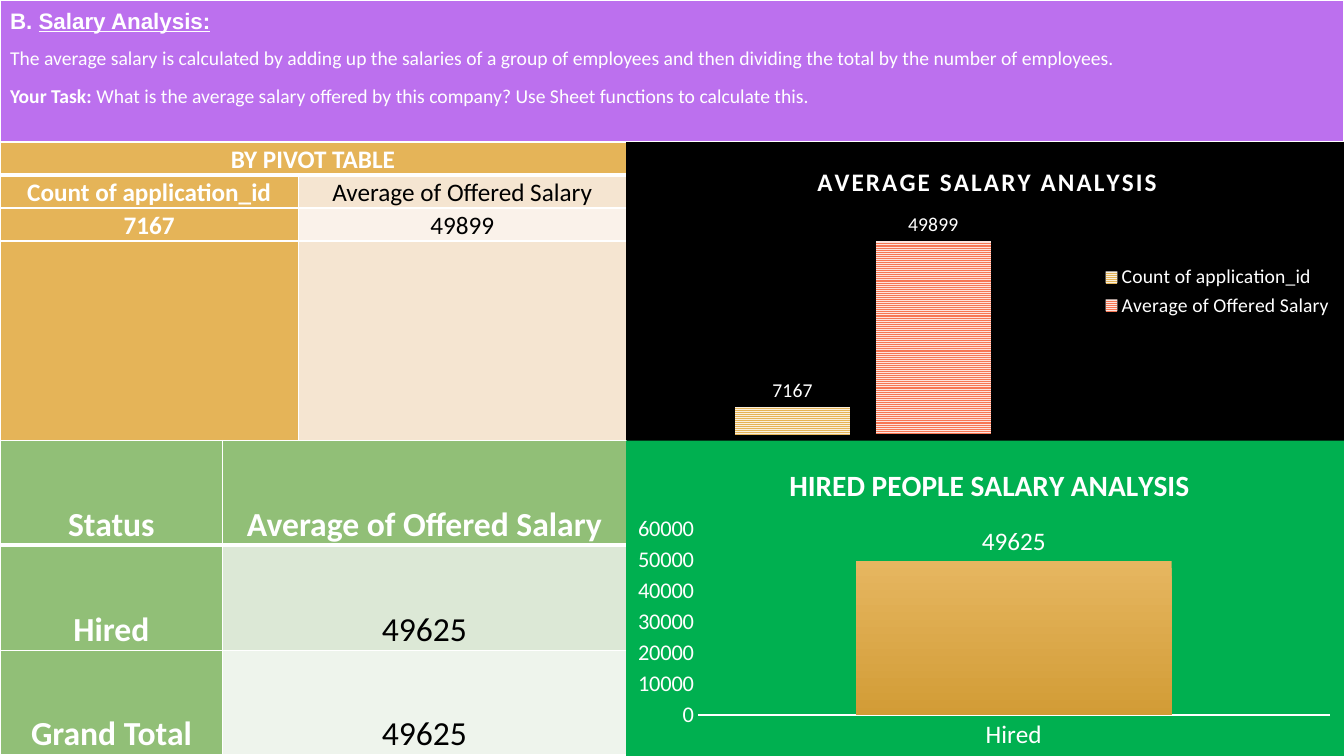
from dataclasses import dataclass
from lxml import etree
from pptx import Presentation
from pptx.chart.data import CategoryChartData as Data
from pptx.dml.color import RGBColor
from pptx.enum.chart import XL_CHART_TYPE as Kind, XL_LABEL_POSITION as Spot
from pptx.enum.chart import XL_LEGEND_POSITION as Side, XL_TICK_MARK as Tick
from pptx.enum.dml import MSO_PATTERN as Pattern
from pptx.enum.shapes import MSO_SHAPE as Shape
from pptx.enum.text import MSO_ANCHOR as Anchor, PP_ALIGN as Align
from pptx.oxml import parse_xml
from pptx.oxml.ns import qn
from pptx.util import Inches, Pt

NS = ('xmlns:a="http://schemas.openxmlformats.org/drawingml/2006/main" '
      'xmlns:c="http://schemas.openxmlformats.org/drawingml/2006/chart"')
rgb = RGBColor.from_string


@dataclass(frozen=True)
class Theme:
    head: str = "Arial"
    text: str = "Calibri"
    white: str = "FFFFFF"
    black: str = "000000"
    violet: str = "BC70EE"
    gold: str = "E5B458"
    sand: str = "F5E5D1"
    cream: str = "FAF2EA"
    leaf: str = "91BF77"
    mint: str = "DCE8D6"
    pale: str = "EEF4EC"
    green: str = "00B050"
    stripes: tuple = (("E5B458", "FAF0DE"), ("F77754", "FDE4DD"))
    fade: tuple = ("E6B660", "D29C36")
    small: int = 14
    note: int = 16
    body: int = 18
    name: int = 21
    large: int = 24


T = Theme()


def paint(font, size, bold=False, color=T.white, face=T.text):
    font.size, font.bold, font.name = Pt(size), bold, face
    font.color.rgb = rgb(color)


def place(node, spot, box, inner=False):
    for old in node.findall(qn("c:layout")):
        node.remove(old)
    target = '<c:layoutTarget val="inner"/>' if inner else ""
    modes = '<c:xMode val="edge"/><c:yMode val="edge"/>'
    sizes = "".join(f'<c:{key} val="{val}"/>' for key, val in zip("xywh", box))
    node.insert(spot, parse_xml(
        f"<c:layout {NS}><c:manualLayout>{target}{modes}{sizes}"
        "</c:manualLayout></c:layout>"))


deck = Presentation()
deck.slide_width, deck.slide_height = Inches(13.33), Inches(7.5)
slide = deck.slides.add_slide(deck.slide_layouts[1])
slide.background.fill.solid()
slide.background.fill.fore_color.rgb = rgb(T.black)
title, body = slide.placeholders

banner = slide.shapes.add_shape(Shape.RECTANGLE, 0, 0, Inches(13.33), Inches(1.41))
banner.shadow.inherit = False
banner.fill.solid()
banner.fill.fore_color.rgb = rgb(T.violet)
banner.line.color.rgb = rgb(T.white)
banner.line.width = Pt(2)
title.element.addprevious(banner.element)

for box, top, tall in ((title, 0.05, 0.3), (body, 0.46, 0.9)):
    box.left, box.top = Inches(0), Inches(top)
    box.width, box.height = Inches(13.33), Inches(tall)
    frame = box.text_frame
    frame.word_wrap = True
    frame.margin_top = frame.margin_bottom = 0
title.text_frame.vertical_anchor = Anchor.MIDDLE
body.text_frame.vertical_anchor = Anchor.TOP

line = title.text_frame.paragraphs[0]
line.alignment = Align.LEFT
for text, under in (("B. ", False), ("Salary Analysis:", True)):
    run = line.add_run()
    run.text = text
    paint(run.font, T.note, True, face=T.head)
    run.font.underline = under

notes = (
    (("The average salary is calculated by adding up the salaries of a group of "
      "employees and then dividing the total by the number of employees.", False),),
    (("Your Task:", True),
     (" What is the average salary offered by this company? "
      "Use Sheet functions to calculate this.", False)),
)
for i, parts in enumerate(notes):
    line = body.text_frame.paragraphs[0] if i == 0 else body.text_frame.add_paragraph()
    props = line._p.get_or_add_pPr()
    props.set("marL", "0")
    props.set("indent", "0")
    etree.SubElement(props, qn("a:buNone"))
    line.space_before = Pt(10 * i)
    for text, bold in parts:
        run = line.add_run()
        run.text = text
        paint(run.font, T.small, bold)

tables = (
    (1.41, (2.96, 3.25), (0.32, 0.32, 0.32, 2), T.body, T.gold,
     (T.gold, T.sand, T.cream, T.sand),
     (("BY PIVOT TABLE", ""), ("Count of application_id", "Average of Offered Salary"),
      ("7167", "49899"), ("", ""))),
    (4.37, (2.21, 4), (1.04, 1.04, 1.04), T.large, T.leaf,
     (T.leaf, T.mint, T.pale),
     (("Status", "Average of Offered Salary"), ("Hired", "49625"),
      ("Grand Total", "49625"))),
)
for top, cols, rows, size, main, tints, words in tables:
    table = slide.shapes.add_table(
        len(rows), 2, 0, Inches(top), Inches(sum(cols)), Inches(sum(rows))).table
    for col, wide in zip(table.columns, cols):
        col.width = Inches(wide)
    for row, tall in zip(table.rows, rows):
        row.height = Inches(tall)
    if not words[0][1]:
        table.cell(0, 0).merge(table.cell(0, 1))
    for r, pair in enumerate(words):
        for c, text in enumerate(pair):
            cell = table.cell(r, c)
            cell.fill.solid()
            cell.fill.fore_color.rgb = rgb(tints[r] if c else main)
            cell.vertical_anchor = Anchor.BOTTOM
            cell.margin_left = cell.margin_right = Inches(0.07)
            cell.margin_top = cell.margin_bottom = 0
            props = cell._tc.get_or_add_tcPr()
            for i, edge in enumerate("LRTB"):
                thick = (edge == "B" and r == 0) or (edge == "T" and r == 1)
                props.insert(i, parse_xml(
                    f'<a:ln{edge} {NS} w="{Pt(3 if thick else 1)}"><a:solidFill>'
                    f'<a:srgbClr val="{T.white}"/></a:solidFill></a:ln{edge}>'))
            if text:
                cell.text_frame.text = text
                line = cell.text_frame.paragraphs[0]
                line.alignment = Align.CENTER
                line.line_spacing, line.space_after = 1.07, Pt(8)
                bold = c == 0 or r == 0
                paint(line.runs[0].font, size, bold, T.white if bold else T.black)

charts = (
    (1.41, 2.96, T.black, "AVERAGE SALARY ANALYSIS", T.body, "150", (0.26, 0.06),
     (0.02, 0.2, 0.62, 0.78), "1", T.small, 164, -22,
     (("Count of application_id", 7167), ("Average of Offered Salary", 49899))),
    (4.37, 3.13, T.green, "HIRED PEOPLE SALARY ANALYSIS", T.name, "0", (0.22, 0.06),
     (0.1, 0.28, 0.88, 0.59), "Hired", T.body, 100, -24,
     (("Series 1", 49625),)),
)
for (top, tall, back, head, size, space, spot, area, group, tag, gap, lap,
     sets) in charts:
    data = Data(number_format="0")
    data.categories = [group]
    for name, val in sets:
        data.add_series(name, [val])
    chart = slide.shapes.add_chart(
        Kind.COLUMN_CLUSTERED, Inches(6.21), Inches(top), Inches(7.12),
        Inches(tall), data).chart
    paint(chart.font, 10)
    chart.element.find(qn("c:chart")).addnext(parse_xml(
        f'<c:spPr {NS}><a:solidFill><a:srgbClr val="{back}"/></a:solidFill>'
        "<a:ln><a:noFill/></a:ln></c:spPr>"))
    chart.has_title = True
    chart.chart_title.text_frame.text = head
    run = chart.chart_title.text_frame.paragraphs[0].runs[0]
    paint(run.font, size, True)
    run._r.get_or_add_rPr().set("spc", space)
    place(chart.chart_title._element, 1, spot)
    place(chart.element.find(".//" + qn("c:plotArea")), 0, area, True)

    pair = len(sets) > 1
    chart.has_legend = pair
    if pair:
        chart.legend.position = Side.RIGHT
        chart.legend.include_in_layout = False
        paint(chart.legend.font, T.small)
    x, y = chart.category_axis, chart.value_axis
    y.minimum_scale, y.maximum_scale, y.major_unit = 0, 60000, 10000
    y.has_major_gridlines = False
    for axis, points in ((x, T.body), (y, T.note)):
        axis.visible = not pair
        axis.major_tick_mark = axis.minor_tick_mark = Tick.NONE
        paint(axis.tick_labels.font, points)
    y.tick_labels.number_format = "0"
    y.tick_labels.number_format_is_linked = False
    y.format.line.fill.background()
    x.format.line.color.rgb = rgb(T.white)
    x.format.line.width = Pt(1)

    plot = chart.plots[0]
    plot.vary_by_categories = False
    plot.gap_width, plot.overlap = gap, lap
    plot.has_data_labels = True
    tags = plot.data_labels
    tags.show_value, tags.position = True, Spot.OUTSIDE_END
    tags.number_format, tags.number_format_is_linked = "0", False
    paint(tags.font, tag)
    for bar, (fore, rear) in zip(plot.series, T.stripes):
        fill = bar.format.fill
        if pair:
            fill.patterned()
            fill.pattern = Pattern.NARROW_HORIZONTAL
            fill.fore_color.rgb, fill.back_color.rgb = rgb(fore), rgb(rear)
        else:
            fill.gradient()
            fill.gradient_angle = 270
            for stop, tint in zip(fill.gradient_stops, T.fade):
                stop.color.rgb = rgb(tint)

deck.save("out.pptx")
